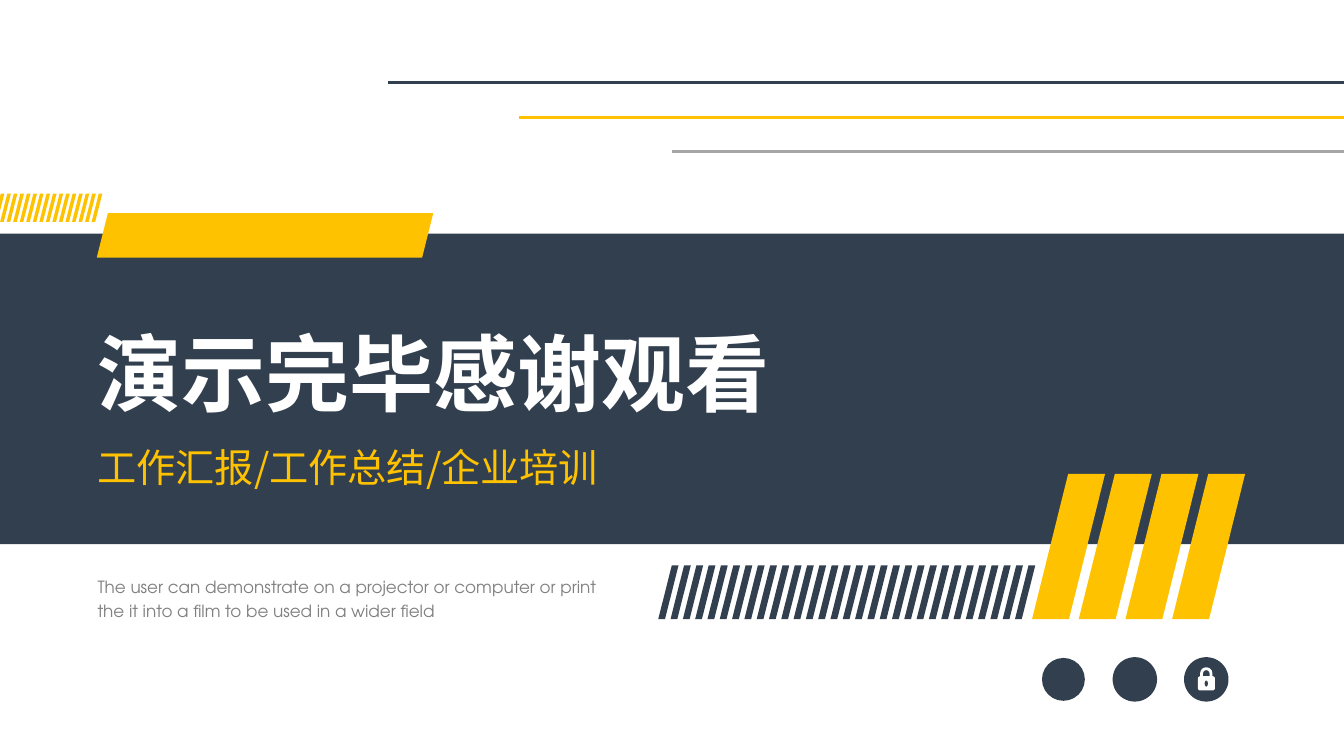
import pptx
import pptx.util
import pptx.dml.color
import pptx.enum.shapes
import pptx.enum.text
import pptx.oxml
import pptx.oxml.ns

Cm = pptx.util.Cm
RGBColor = pptx.dml.color.RGBColor
Shape = pptx.enum.shapes.MSO_SHAPE
Align = pptx.enum.text.PP_ALIGN

NAVY = RGBColor(0x32, 0x3F, 0x4F)
YELLOW = RGBColor(0xFF, 0xC2, 0x00)
SILVER = RGBColor(0xA6, 0xA6, 0xA6)
GREY = RGBColor(0x80, 0x80, 0x80)
WHITE = RGBColor(0xFF, 0xFF, 0xFF)
CHINESE_FONT = "Noto Sans CJK SC"
LATIN_FONT = "TeX Gyre Adventor"
PAGE_WIDTH = 33.87


def paint(shape, color):
    shape.shadow.inherit = False
    shape.fill.solid()
    shape.fill.fore_color.rgb = color
    shape.line.fill.background()


def write(box, text, place, size, color, font, bold=False, align=Align.LEFT):
    box.left, box.top, box.width, box.height = [Cm(length) for length in place]
    frame = box.text_frame
    frame.word_wrap = True
    frame.auto_size = pptx.enum.text.MSO_AUTO_SIZE.SHAPE_TO_FIT_TEXT
    frame.vertical_anchor = pptx.enum.text.MSO_ANCHOR.TOP
    para = frame.paragraphs[0]
    para.alignment = align
    para.line_spacing = 1.2
    span = para.add_run()
    span.text = text
    span.font.size = pptx.util.Pt(size)
    span.font.bold = bold
    span.font.color.rgb = color
    span.font.name = font
    east_asian = pptx.oxml.parse_xml(
        f'<a:ea {pptx.oxml.ns.nsdecls("a")} typeface="{font}"/>')
    span.font._element.append(east_asian)


deck = pptx.Presentation()
deck.slide_width = Cm(PAGE_WIDTH)
deck.slide_height = Cm(19.05)
page = deck.slides.add_slide(deck.slide_layouts[5])
shapes = page.shapes

band = shapes.add_shape(Shape.RECTANGLE, 0, Cm(5.89), Cm(PAGE_WIDTH), Cm(7.82))
paint(band, NAVY)

for start, height, color in [(9.78, 2.08, NAVY), (13.08, 2.95, YELLOW), (16.94, 3.81, SILVER)]:
    rule = shapes.add_connector(
        pptx.enum.shapes.MSO_CONNECTOR.STRAIGHT,
        Cm(start), Cm(height), Cm(PAGE_WIDTH), Cm(height))
    rule.line.color.rgb = color
    rule.line.width = pptx.util.Pt(2.25)
    rule._element.spPr.append(
        pptx.oxml.parse_xml(f'<a:effectLst {pptx.oxml.ns.nsdecls("a")}/>'))

tab = shapes.add_shape(Shape.PARALLELOGRAM, Cm(2.44), Cm(5.37), Cm(8.48), Cm(1.12))
paint(tab, YELLOW)

stripe_rows = [
    (4, 26.01, 29.54, 11.94, 3.66, 0.93, 0.91, YELLOW),
    (30, 16.59, 25.58, 14.25, 1.35, 0.17, 0.34, NAVY),
    (16, -0.16, 2.31, 4.88, 0.71, 0.09, 0.18, YELLOW),
]
for count, first, last, top, height, thickness, slant, color in stripe_rows:
    step = (last - first) / (count - 1)
    bottom = Cm(top + height)
    for index in range(count):
        left = first + index * step
        outline = shapes.build_freeform(Cm(left + slant), Cm(top))
        outline.add_line_segments([
            (Cm(left + slant + thickness), Cm(top)),
            (Cm(left + thickness), bottom),
            (Cm(left), bottom),
        ])
        paint(outline.convert_to_shape(), color)

title = shapes.title
title.element.getparent().append(title.element)
write(title, "演示完毕感谢观看", (2.21, 7.47, 24.38, 3.07),
      60, WHITE, CHINESE_FONT, bold=True, align=Align.JUSTIFY)
subtitle = shapes.add_textbox(0, 0, 0, 0)
write(subtitle, "工作汇报/工作总结/企业培训", (2.21, 10.8, 18.59, 1.57),
      28, YELLOW, CHINESE_FONT, align=Align.JUSTIFY)
caption = shapes.add_textbox(0, 0, 0, 0)
write(caption,
      "The user can demonstrate on a projector or computer or print "
      "the it into a film to be used in a wider field",
      (2.21, 14.3, 13.28, 1.42), 12, GREY, LATIN_FONT)

for center, diameter in [(26.8, 1.08), (28.6, 1.12), (30.4, 1.12)]:
    badge = shapes.add_shape(
        Shape.OVAL, Cm(center - diameter / 2), Cm(17.12 - diameter / 2),
        Cm(diameter), Cm(diameter))
    paint(badge, NAVY)

shackle = shapes.add_shape(Shape.ROUNDED_RECTANGLE, Cm(30.28), Cm(16.85), Cm(0.24), Cm(0.4))
paint(shackle, NAVY)
shackle.adjustments[0] = 0.5
shackle.line.color.rgb = WHITE
shackle.line.width = pptx.util.Pt(2)
lock_body = shapes.add_shape(Shape.ROUNDED_RECTANGLE, Cm(30.19), Cm(17.04), Cm(0.43), Cm(0.36))
paint(lock_body, WHITE)
keyhole = shapes.add_shape(Shape.OVAL, Cm(30.36), Cm(17.15), Cm(0.08), Cm(0.15))
paint(keyhole, NAVY)

deck.save("out.pptx")
